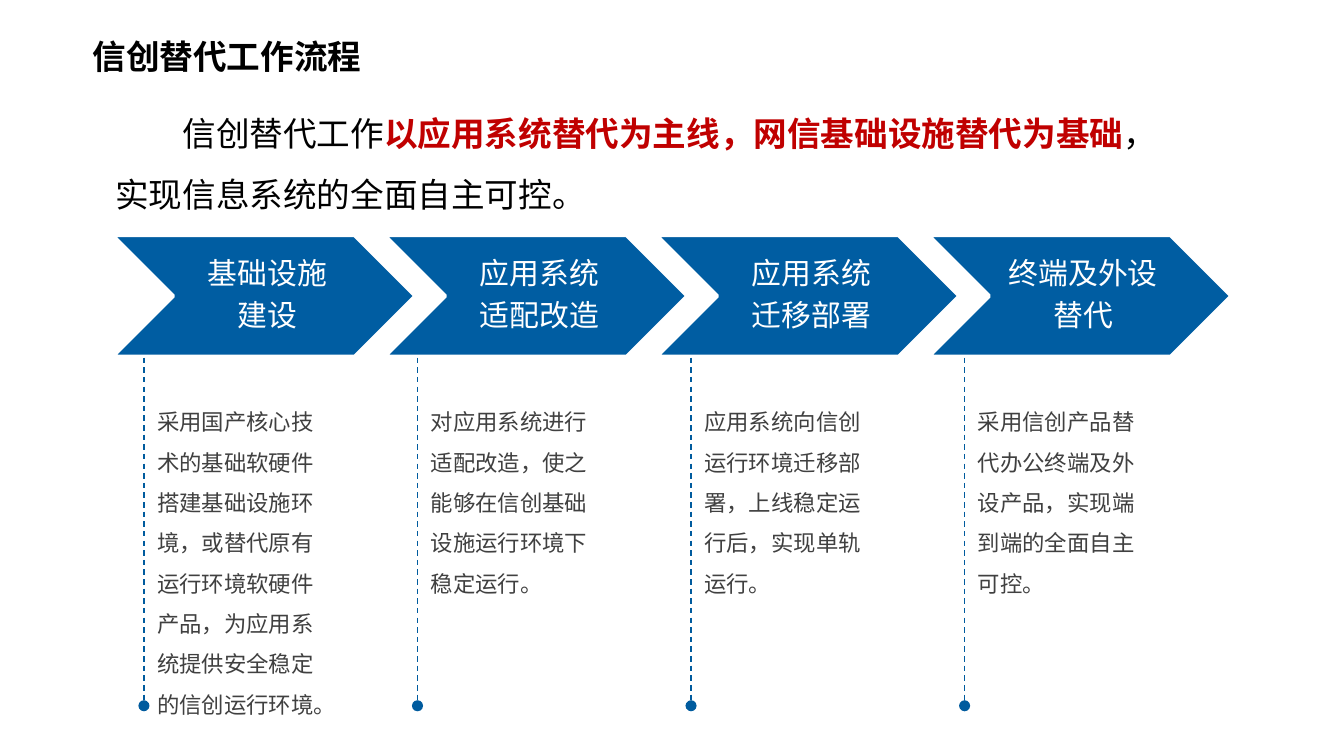
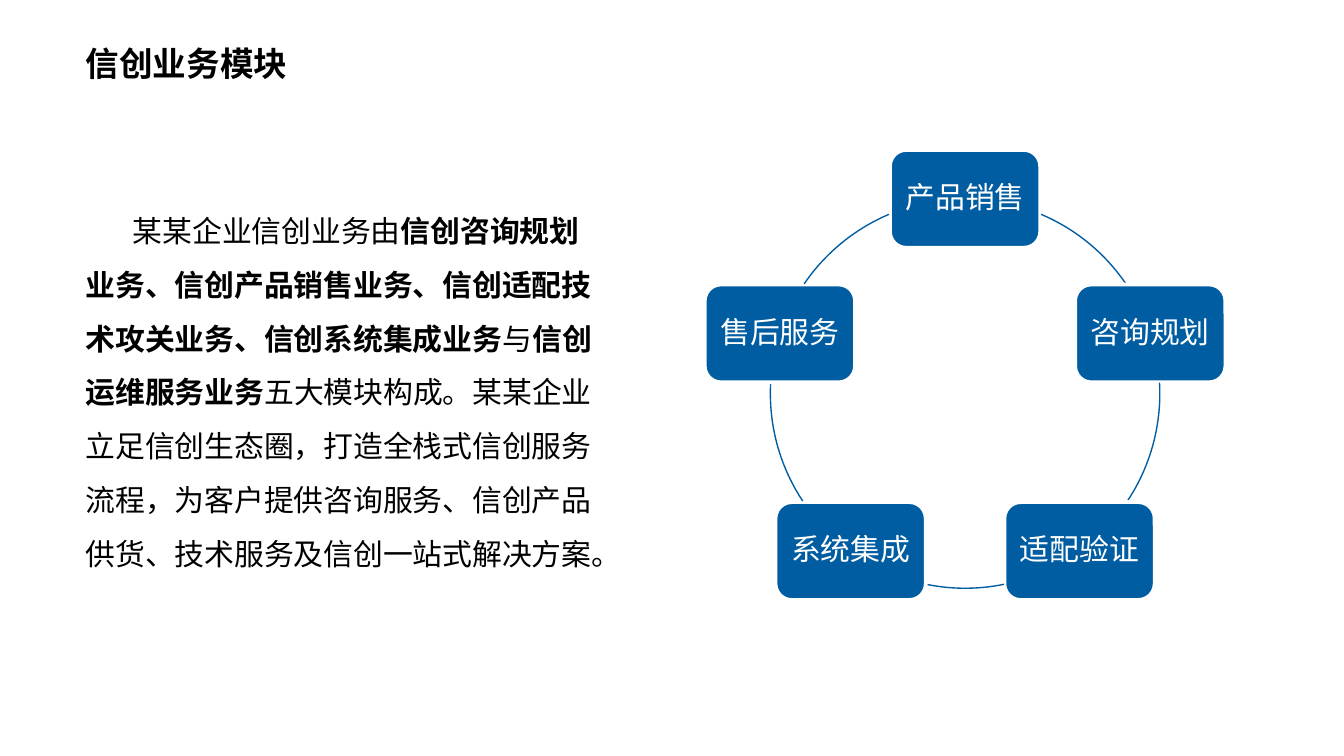
import math

from lxml import etree
from pptx import Presentation
from pptx.dml.color import RGBColor
from pptx.enum.dml import MSO_LINE
from pptx.enum.shapes import MSO_CONNECTOR, MSO_SHAPE
from pptx.enum.text import MSO_ANCHOR, PP_ALIGN
from pptx.oxml.ns import qn
from pptx.util import Cm, Pt

CHEVRON, ROUND_RECT, ARC = MSO_SHAPE.CHEVRON, MSO_SHAPE.ROUNDED_RECTANGLE, MSO_SHAPE.ARC
STRAIGHT, DASH = MSO_CONNECTOR.STRAIGHT, MSO_LINE.DASH
TOP, MIDDLE = MSO_ANCHOR.TOP, MSO_ANCHOR.MIDDLE
LEFT, CENTER = PP_ALIGN.LEFT, PP_ALIGN.CENTER

FONT, NODE_FONT = "Noto Sans CJK SC", "Calibri"
BLUE, LINE_BLUE, RED = "005DA2", "005B9E", "C00000"
BLACK, GREY, WHITE = "000000", "404040", "FFFFFF"

STEPS = [
    (["基础设施", "建设"], 6.4,
     "采用国产核心技术的基础软硬件搭建基础设施环境，或替代原有运行环境软硬件产品，为应用系统提供安全稳定的信创运行环境。"),
    (["应用系统", "适配改造"], 4.11,
     "对应用系统进行适配改造，使之能够在信创基础设施运行环境下稳定运行。"),
    (["应用系统", "迁移部署"], 4.11,
     "应用系统向信创运行环境迁移部署，上线稳定运行后，实现单轨运行。"),
    (["终端及外设", "替代"], 4.11,
     "采用信创产品替代办公终端及外设产品，实现端到端的全面自主可控。"),
]
MODULES = ["产品销售", "咨询规划", "适配验证", "系统集成", "售后服务"]
# Start and end of each arc in degrees, clockwise from the right
ARCS = [(293, 325.7), (356.8, 33.5), (78.5, 101.5), (146.5, 183.2), (214.3, 247)]


def rgb(color):
    return RGBColor.from_string(color)


def write(sp, paragraphs, size=18, color=BLACK, bold=False, font=FONT, align=LEFT,
          anchor=TOP, spacing=1.0, after=0, indent=0, insets=(0.25, 0.13, 0.25, 0.13),
          wrap=True):
    """Fill a shape; each paragraph is a list of (text, format overrides) runs."""
    tf = sp.text_frame
    tf.word_wrap = wrap
    tf.vertical_anchor = anchor
    tf.margin_left, tf.margin_top, tf.margin_right, tf.margin_bottom = map(Cm, insets)
    for i, runs in enumerate(paragraphs):
        p = tf.add_paragraph() if i else tf.paragraphs[0]
        p.alignment = align
        p.line_spacing = spacing
        p.space_after = Pt(after)
        if indent:
            p._p.get_or_add_pPr().set("indent", str(Cm(indent)))
        for text, style in runs:
            r = p.add_run()
            r.text = text
            r.font.size = Pt(size)
            r.font.name = font
            r.font.bold = style.get("bold", bold)
            r.font.color.rgb = rgb(style.get("color", color))
            etree.SubElement(r._r.get_or_add_rPr(), qn("a:ea")).set("typeface", FONT)


def add_text(s, left, top, width, height, runs, **style):
    sp = s.shapes.add_textbox(Cm(left), Cm(top), Cm(width), Cm(height))
    write(sp, [runs], **style)


def add_title(s, text, left, top, width, height, **style):
    add_text(s, left, top, width, height, [(text, {})], bold=True, **style)


def add_block(s, kind, left, top, width, height, lines, **style):
    """Blue shape with a white outline and centred white lines of text."""
    sp = s.shapes.add_shape(kind, Cm(left), Cm(top), Cm(width), Cm(height))
    sp.shadow.inherit = False
    sp.fill.solid()
    sp.fill.fore_color.rgb = rgb(BLUE)
    sp.line.color.rgb = rgb(WHITE)
    sp.line.width = Pt(2)
    write(sp, [[(line, {})] for line in lines], size=16, color=WHITE, align=CENTER,
          anchor=MIDDLE, spacing=0.9, after=5.6, **style)


def add_guide(s, x, top, bottom):
    """Dashed vertical line that ends in a dot."""
    line = s.shapes.add_connector(STRAIGHT, Cm(x), Cm(top), Cm(x), Cm(bottom))
    line.line.color.rgb = rgb(LINE_BLUE)
    line.line.width = Pt(0.75)
    line.line.dash_style = DASH
    etree.SubElement(line.line._get_or_add_ln(), qn("a:tailEnd")).set("type", "oval")
    etree.SubElement(line._element.spPr, qn("a:effectLst"))


def add_arc(s, cx, cy, radius, start, end):
    sp = s.shapes.add_shape(ARC, Cm(cx - radius), Cm(cy - radius),
                            Cm(2 * radius), Cm(2 * radius))
    sp.shadow.inherit = False
    # Angles are stored in 1/60000 degree, adjustments in 1/100000
    sp.adjustments[0] = start * 0.6
    sp.adjustments[1] = end * 0.6
    sp.fill.background()
    sp.line.color.rgb = rgb(BLUE)
    sp.line.width = Pt(0.75)


def build_process(s):
    add_title(s, "信创替代工作流程", 1.5, 0.58, 22.86, 0.97, anchor=MIDDLE)
    add_text(s, 1.93, 1.63, 20.6, 3.71, [
        ("信创替代工作", {}),
        ("以应用系统替代为主线，网信基础设施替代为基础", {"color": RED, "bold": True}),
        ("，实现信息系统的全面自主可控。", {}),
    ], spacing=1.5, indent=1.27)
    for i, (heading, height, detail) in enumerate(STEPS):
        add_block(s, CHEVRON, 2.13 + i * 5.14, 4.45, 5.72, 2.29, heading,
                  insets=(0.18, 0.05, 0.05, 0.05))
        x = 2.72 + i * 5.17
        add_text(s, x, 7.34, 3.61, height, [(detail, {})],
                 size=12, color=GREY, spacing=1.5)
        add_guide(s, x, 6.76, 13.34)


def build_modules(s):
    strong = {"bold": True}
    add_text(s, 1.37, 3.56, 10.24, 5.23, [
        ("某某企业信创业务由", {}),
        ("信创咨询规划业务、信创产品销售业务、信创适配技术攻关业务、信创系统集成业务", strong),
        ("与", {}),
        ("信创运维服务业务", strong),
        ("五大模块构成。某某企业立足信创生态圈，打造全栈式信创服务流程，"
         "为客户提供咨询服务、信创产品供货、技术服务及信创一站式解决方案。", {}),
    ], size=16, spacing=1.5, indent=0.89)
    add_title(s, "信创业务模块", 1.37, 0.61, 4.37, 1.04, spacing=1.1, wrap=False)

    cx, cy, radius = 18.24, 7.44, 3.68
    width, height = 2.84, 1.85
    for i, (name, (start, end)) in enumerate(zip(MODULES, ARCS)):
        angle = math.radians(i * 360 / len(MODULES) - 90)
        add_block(s, ROUND_RECT, cx + radius * math.cos(angle) - width / 2,
                  cy + radius * math.sin(angle) - height / 2, width, height, [name],
                  font=NODE_FONT, insets=(0.15, 0.18, 0.15, 0.18))
        add_arc(s, cx, cy, radius, start, end)


def main():
    prs = Presentation()
    prs.slide_width, prs.slide_height = Cm(25.4), Cm(14.29)
    for build in (build_process, build_modules):
        build(prs.slides.add_slide(prs.slide_layouts[6]))
    prs.save("out.pptx")


if __name__ == "__main__":
    main()
